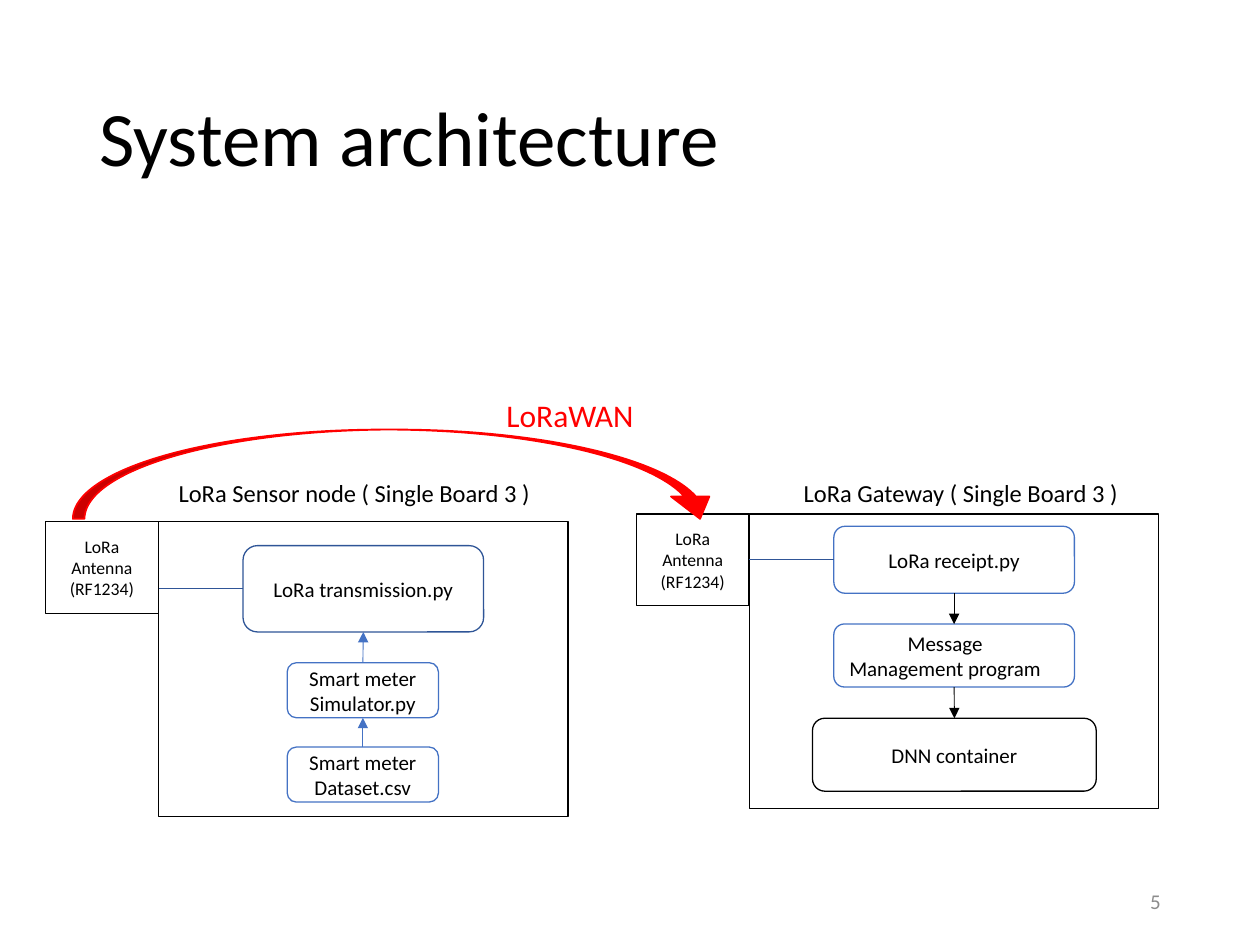
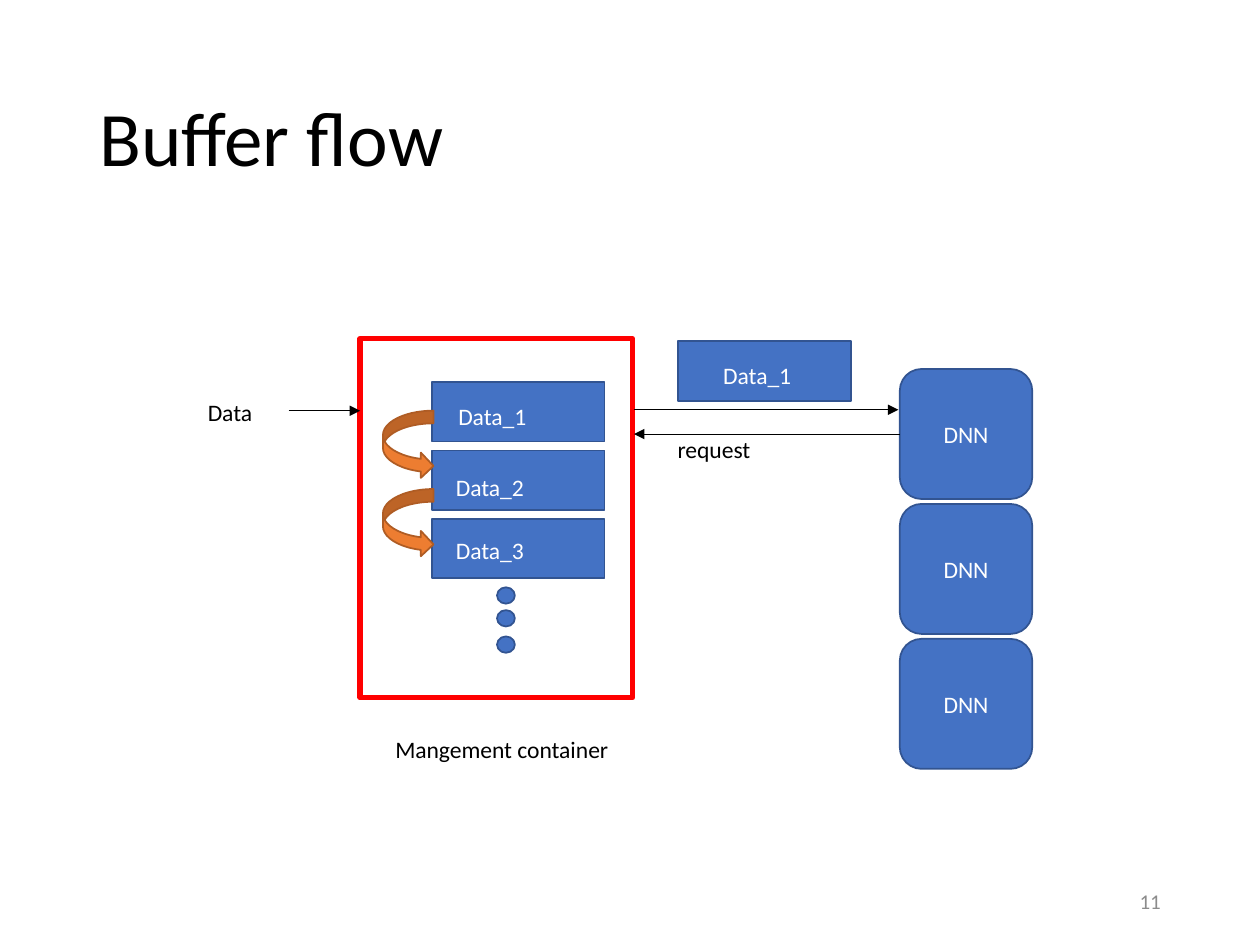
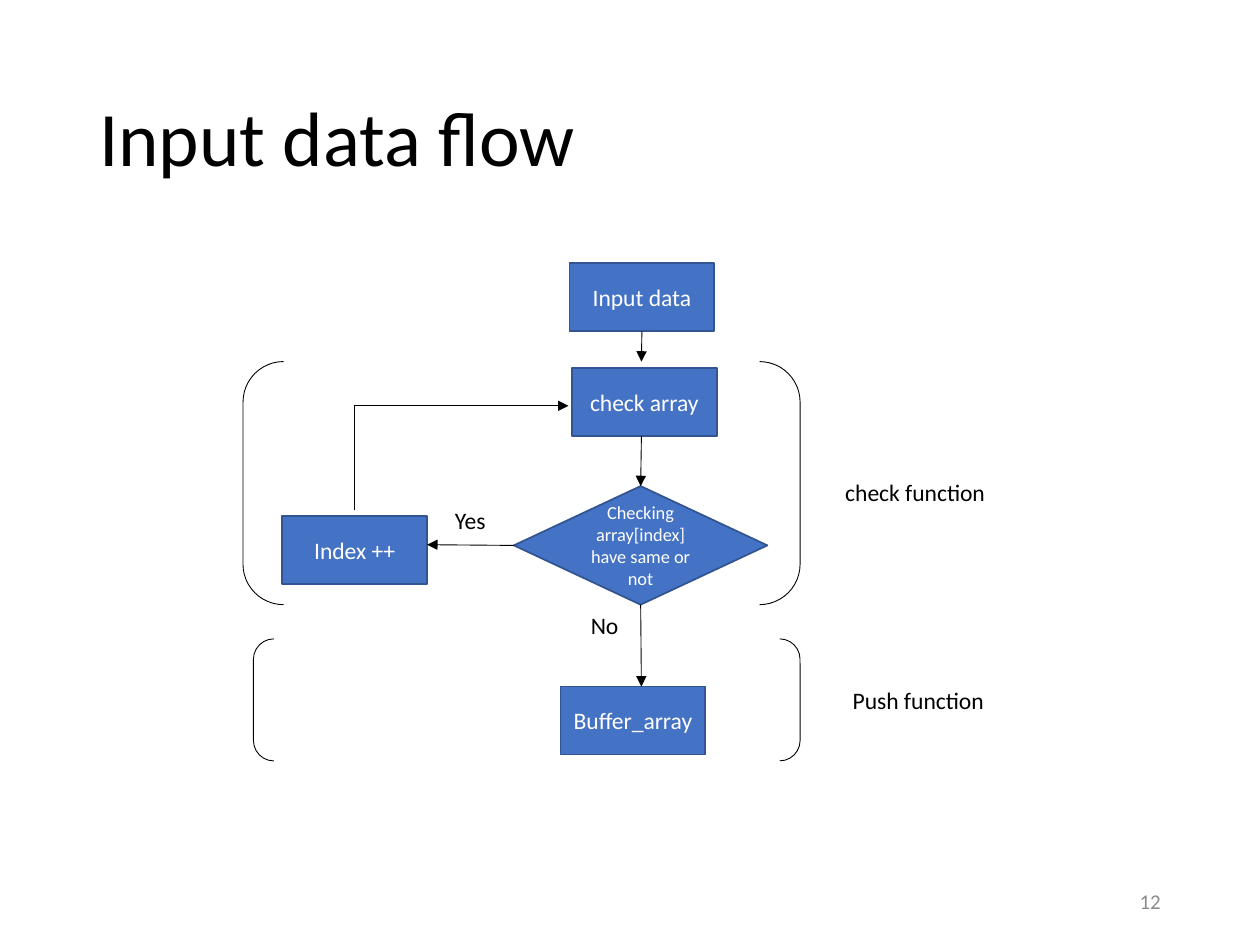
from pptx import Presentation
from pptx.dml.color import RGBColor
from pptx.enum.shapes import MSO_CONNECTOR, MSO_SHAPE as SHAPE
from pptx.enum.text import MSO_ANCHOR as ANCHOR, PP_ALIGN as ALIGN
from pptx.oxml.ns import qn
from pptx.util import Cm, Pt
from lxml.etree import SubElement

BLACK = RGBColor(0x00, 0x00, 0x00)
WHITE = RGBColor(0xFF, 0xFF, 0xFF)
GRAY = RGBColor(0x8C, 0x8C, 0x8C)
RED = RGBColor(0xFF, 0x00, 0x00)
BLUE = RGBColor(0x44, 0x72, 0xC4)
BLUE_EDGE = RGBColor(0x32, 0x54, 0x91)
DARK_BLUE = RGBColor(0x2F, 0x55, 0x97)
ORANGE = RGBColor(0xED, 0x7D, 0x31)
ORANGE_EDGE = RGBColor(0xAF, 0x5C, 0x24)

FONT = "Calibri"
TOP, LEFT, BOTTOM, RIGHT = range(4)  # connection sites
DEFAULT_INSETS = (0.25, 0.13, 0.25, 0.13)


def write(shape, text, size=13.5, color=BLACK, align=ALIGN.LEFT,
          anchor=ANCHOR.TOP, insets=DEFAULT_INSETS, spacing=None):
    """Fill a shape with text, one paragraph per line."""
    frame = shape.text_frame
    frame.word_wrap = True
    frame.vertical_anchor = anchor
    (frame.margin_left, frame.margin_top,
     frame.margin_right, frame.margin_bottom) = map(Cm, insets)
    frame.text = text
    for paragraph in frame.paragraphs:
        paragraph.alignment = align
        paragraph.line_spacing = spacing
        font = paragraph.runs[0].font
        font.name, font.size = FONT, Pt(size)
        font.color.rgb = color


def add_label(slide, text, left, top, width, height=0.84, **text_format):
    box = slide.shapes.add_textbox(Cm(left), Cm(top), Cm(width), Cm(height))
    write(box, text, **text_format)


def add_shape(slide, kind, left, top, width, height, text="", fill=None,
              edge=BLACK, weight=0.75, **text_format):
    shape = slide.shapes.add_shape(kind, Cm(left), Cm(top), Cm(width), Cm(height))
    shape.shadow.inherit = False
    if fill is None:
        shape.fill.background()
    else:
        shape.fill.solid()
        shape.fill.fore_color.rgb = fill
    shape.line.color.rgb = edge
    shape.line.width = Pt(weight)
    if text:
        write(shape, text, align=ALIGN.CENTER, anchor=ANCHOR.MIDDLE, **text_format)
    return shape


def add_blue(slide, kind, left, top, width, height, text="", size=13.5):
    return add_shape(slide, kind, left, top, width, height, text, fill=BLUE,
                     edge=BLUE_EDGE, weight=1, size=size, color=WHITE)


def add_line(slide, start, end, color=BLACK, arrow=True):
    """Draw a line; each end is an (x, y) point or a (shape, site) pair."""
    line = slide.shapes.add_connector(MSO_CONNECTOR.STRAIGHT, 0, 0, 0, 0)
    if isinstance(start[0], (int, float)):
        line.begin_x, line.begin_y = map(Cm, start)
    else:
        line.begin_connect(*start)
    if isinstance(end[0], (int, float)):
        line.end_x, line.end_y = map(Cm, end)
    else:
        line.end_connect(*end)
    line.line.color.rgb = color
    line.line.width = Pt(0.5)
    if arrow:
        SubElement(line.line._get_or_add_ln(), qn("a:tailEnd"), type="triangle")
    SubElement(line._element.spPr, qn("a:effectLst"))


def add_slide(presentation, title, number):
    slide = presentation.slides.add_slide(presentation.slide_layouts[5])
    heading = slide.shapes.title
    heading.left, heading.top = Cm(1.75), Cm(1.02)
    heading.width, heading.height = Cm(21.9), Cm(3.68)
    write(heading, title, size=44, anchor=ANCHOR.MIDDLE, spacing=0.9)
    add_label(slide, str(number), 17.93, 17.65, 5.72, 1.02, size=12,
              color=GRAY, align=ALIGN.RIGHT, anchor=ANCHOR.MIDDLE)
    return slide


def add_device(slide, left, top):
    """Draw a device frame with its antenna, and return the antenna."""
    add_shape(slide, SHAPE.RECTANGLE, left + 2.28, top, 8.25, 5.94)
    return add_shape(slide, SHAPE.RECTANGLE, left, top, 2.27, 1.85,
                     "LoRa\nAntenna\n(RF1234)", size=10.1,
                     insets=(0.15, 0.08, 0.15, 0.08))


def add_program(slide, text, left, top, width, height, edge=BLUE,
                insets=DEFAULT_INSETS):
    return add_shape(slide, SHAPE.ROUNDED_RECTANGLE, left, top, width, height,
                     text, edge=edge, size=12, insets=insets)


def build_architecture(presentation):
    slide = add_slide(presentation, "System architecture", 5)

    add_device(slide, 0.92, 10.52)
    add_label(slide, "LoRa Sensor node ( Single Board 3 )", 3.35, 9.5, 8.2, size=14)
    transmission = add_program(slide, "LoRa transmission.py", 4.9, 11, 4.85, 1.74,
                               edge=DARK_BLUE)
    simulator = add_program(slide, "Smart meter\nSimulator.py", 5.79, 13.36, 3.05, 1.11)
    dataset = add_program(slide, "Smart meter Dataset.csv", 5.79, 15.06, 3.05, 1.11)
    add_line(slide, (dataset, TOP), (simulator, BOTTOM), color=BLUE)
    add_line(slide, (simulator, TOP), (transmission, BOTTOM), color=BLUE)
    add_line(slide, (3.2, 11.87), (transmission, LEFT), color=DARK_BLUE, arrow=False)

    gateway_antenna = add_device(slide, 12.83, 10.36)
    add_label(slide, "LoRa Gateway ( Single Board 3 )", 15.95, 9.5, 7.4, size=14)
    receipt = add_program(slide, "LoRa receipt.py", 16.81, 10.61, 4.85, 1.35)
    management = add_program(slide, "Message\nManagement program", 16.81, 12.58,
                             4.85, 1.27, insets=(0.13, 0.13, 0.49, 0.13))
    dnn = add_program(slide, "DNN container", 16.38, 14.48, 5.72, 1.47, edge=BLACK)
    add_line(slide, (receipt, BOTTOM), (management, TOP))
    add_line(slide, (management, BOTTOM), (dnn, TOP))
    add_line(slide, (gateway_antenna, RIGHT), (receipt, LEFT), color=DARK_BLUE,
             arrow=False)

    radio = add_shape(slide, SHAPE.CURVED_DOWN_ARROW, 1.47, 8.66, 13.03, 1.8,
                      fill=RED, edge=RED, weight=1)
    for index, value in enumerate((0.13, 0.43, 0.25)):
        radio.adjustments[index] = value
    add_label(slide, "LoRaWAN", 9.96, 7.85, 3.1, 1.02, size=18, color=RED)


def build_buffer_flow(presentation):
    slide = add_slide(presentation, "Buffer flow", 11)

    data_boxes = (("Data_1", 8.71, 7.7, 8.99, 7.98),
                  ("Data_2", 8.71, 9.08, 8.94, 9.4),
                  ("Data_3", 8.71, 10.46, 8.94, 10.67),
                  ("Data_1", 13.67, 6.88, 14.33, 7.14))
    for name, left, top, text_left, text_top in data_boxes:
        add_blue(slide, SHAPE.RECTANGLE, left, top, 3.48, 1.2)
        add_label(slide, name, text_left, text_top, 2.49, color=WHITE)
    for top in (8.28, 9.86):
        add_shape(slide, SHAPE.CURVED_RIGHT_ARROW, 7.72, top, 1.02, 1.37,
                  fill=ORANGE, edge=ORANGE_EDGE, weight=1)
    for top in (11.84, 12.3, 12.83):
        add_blue(slide, SHAPE.OVAL, 10.02, top, 0.36, 0.33)
    add_shape(slide, SHAPE.RECTANGLE, 7.26, 6.83, 5.49, 7.24, edge=RED, weight=3)

    networks = [add_blue(slide, SHAPE.ROUNDED_RECTANGLE, 18.14, 7.44 + 2.72 * row,
                         2.67, 2.62, "DNN") for row in range(3)]
    add_line(slide, (5.82, 8.28), (7.26, 8.28))
    add_line(slide, (12.78, 8.26), (18.11, 8.26))
    add_line(slide, (networks[0], LEFT), (12.78, 8.75))

    add_label(slide, "Data", 3.94, 7.9, 1.47)
    add_label(slide, "request", 13.41, 8.64, 2.01)
    add_label(slide, "Mangement container", 7.72, 14.68, 4.85)


def build_input_flow(presentation):
    slide = add_slide(presentation, "Input data flow", 12)
    middle = 12.93

    def add_step(text, left, top):
        return add_blue(slide, SHAPE.RECTANGLE, left, top, 2.92, 1.37, text)

    input_data = add_step("Input data", 11.48, 5.31)
    add_step("check array", 11.53, 7.42)
    add_step("Index ++", 5.69, 10.41)
    add_step("Buffer_array", 11.3, 13.84)
    decision = add_blue(slide, SHAPE.FLOWCHART_DECISION, 10.36, 9.8, 5.11, 2.39,
                        "Checking array[index] have same or not", size=10.5)

    add_line(slide, (input_data, BOTTOM), (middle, 7.29))
    add_line(slide, (middle, 8.79), (decision, TOP))
    add_line(slide, (decision, BOTTOM), (middle, 13.84))
    add_line(slide, (decision, LEFT), (8.61, 10.98))
    add_line(slide, (7.14, 10.29), (7.14, 8.18), arrow=False)
    add_line(slide, (7.14, 8.18), (11.46, 8.18))

    for left, top, width, height in ((4.9, 7.29, 11.23, 4.9),
                                     (5.11, 12.88, 11.02, 2.46)):
        add_shape(slide, SHAPE.DOUBLE_BRACKET, left, top, width, height, weight=0.5)

    add_label(slide, "Yes", 8.92, 10.06, 1.45)
    add_label(slide, "No", 11.66, 12.19, 1.09)
    add_label(slide, "check function", 16.79, 9.5, 3.63)
    add_label(slide, "Push function", 16.94, 13.69, 3.3)


def main():
    presentation = Presentation()
    presentation.slide_width, presentation.slide_height = Cm(25.4), Cm(19.05)
    build_architecture(presentation)
    build_buffer_flow(presentation)
    build_input_flow(presentation)
    presentation.save("out.pptx")


if __name__ == "__main__":
    main()
